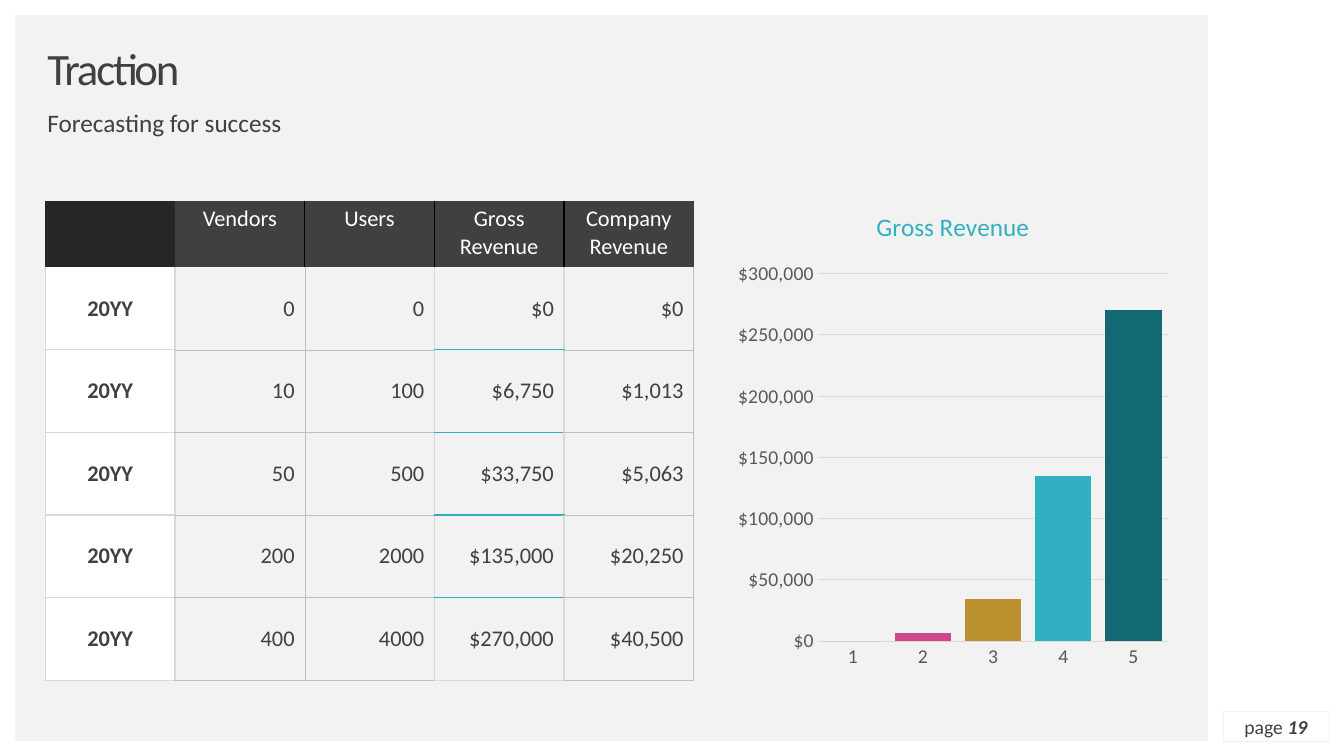
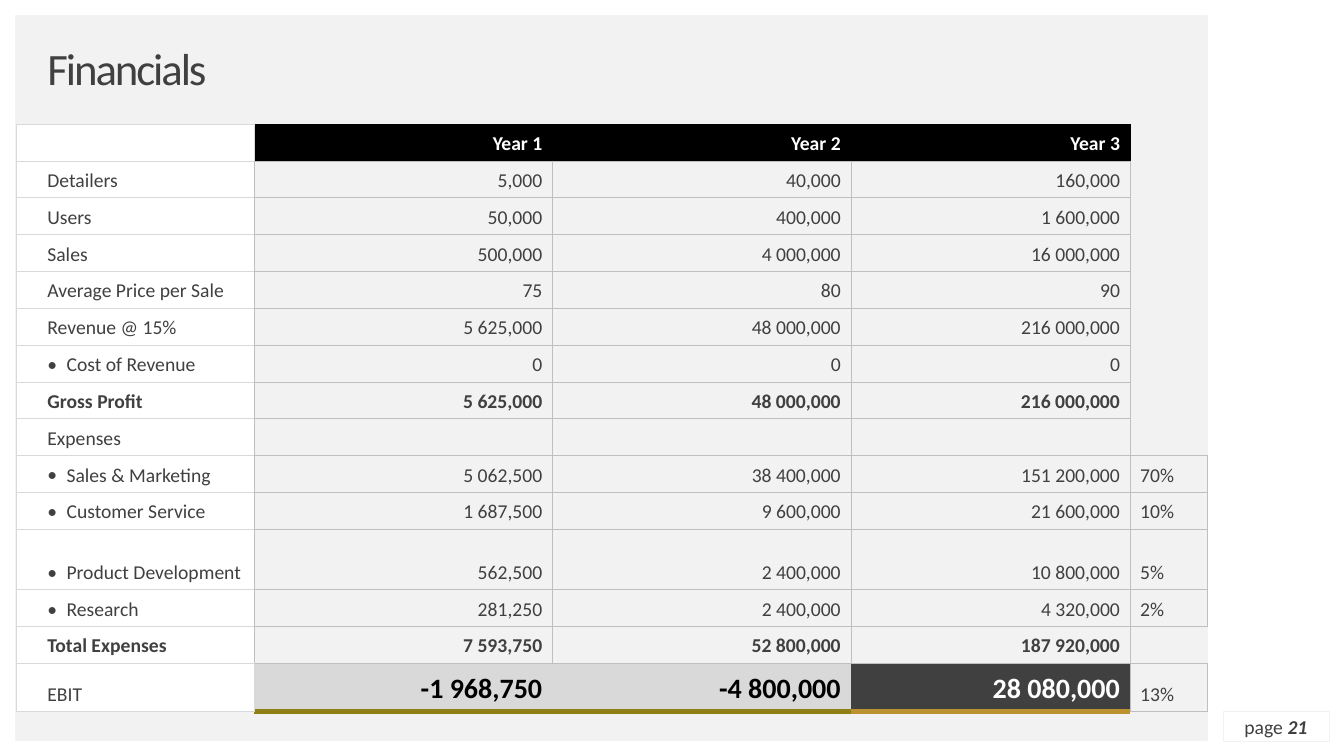
from lxml.etree import SubElement
from pptx import Presentation
from pptx.chart.data import CategoryChartData
from pptx.dml.color import RGBColor
from pptx.enum.chart import XL_CHART_TYPE, XL_TICK_MARK
from pptx.enum.shapes import MSO_SHAPE
from pptx.enum.text import MSO_ANCHOR, PP_ALIGN
from pptx.oxml import parse_xml
from pptx.oxml.ns import nsdecls, qn
from pptx.util import Inches, Pt

FONT = "Calibri"
COLORS = {
    "white": "FFFFFF", "black": "000000", "panel": "F2F2F2", "ink": "404040",
    "coal": "262626", "light": "D9D9D9", "mid": "BFBFBF",
    "axis": "595959", "teal": "31B0C1", "deep": "126974", "pink": "CB488B",
    "gold": "BC9230", "olive": "8E8016",
}
SIDES = {"left": "lnL", "right": "lnR", "top": "lnT", "bottom": "lnB"}
ALIGN = {"left": PP_ALIGN.LEFT, "center": PP_ALIGN.CENTER, "right": PP_ALIGN.RIGHT}

FORECAST_HEADS = ["", "Vendors", "Users", "Gross Revenue", "Company Revenue"]
FORECAST = [
    ["20YY", "0", "0", "$0", "$0"],
    ["20YY", "10", "100", "$6,750", "$1,013"],
    ["20YY", "50", "500", "$33,750", "$5,063"],
    ["20YY", "200", "2000", "$135,000", "$20,250"],
    ["20YY", "400", "4000", "$270,000", "$40,500"],
]
FINANCIALS = [
    ["", "Year 1", "Year 2", "Year 3", ""],
    ["Detailers", "5,000", "40,000", "160,000", ""],
    ["Users", "50,000", "400,000", "1 600,000", ""],
    ["Sales", "500,000", "4 000,000", "16 000,000", ""],
    ["Average Price per Sale", "75", "80", "90", ""],
    ["Revenue @ 15%", "5 625,000", "48 000,000", "216 000,000", ""],
    ["Cost of Revenue", "0", "0", "0", ""],
    ["Gross Profit", "5 625,000", "48 000,000", "216 000,000", ""],
    ["Expenses", "", "", "", ""],
    ["Sales & Marketing", "5 062,500", "38 400,000", "151 200,000", "70%"],
    ["Customer Service", "1 687,500", "9 600,000", "21 600,000", "10%"],
    ["Product Development", "562,500", "2 400,000", "10 800,000", "5%"],
    ["Research", "281,250", "2 400,000", "4 320,000", "2%"],
    ["Total Expenses", "7 593,750", "52 800,000", "187 920,000", ""],
    ["EBIT", "-1 968,750", "-4 800,000", "28 080,000", "13%"],
]
BULLETED = {"Cost of Revenue", "Sales & Marketing", "Customer Service",
            "Product Development", "Research"}
TOTALS = {"Gross Profit", "Total Expenses"}


def rgb(name):
    return RGBColor.from_string(COLORS[name])


def style_font(font, size, color, bold=False, italic=False):
    font.name = FONT
    font.size = Pt(size)
    font.bold = bold
    font.italic = italic
    font.color.rgb = rgb(color)


def add_span(para, text, size=14, color="ink", bold=False, italic=False, tracking=0):
    span = para.add_run()
    span.text = text
    style_font(span.font, size, color, bold, italic)
    if tracking:
        span.font._element.set("spc", str(int(tracking * 100)))


def prepare_frame(frame, anchor, align):
    frame.word_wrap = True
    frame.vertical_anchor = anchor
    frame.margin_left = frame.margin_right = frame.margin_top = frame.margin_bottom = 0
    para = frame.paragraphs[0]
    para.alignment = ALIGN[align]
    return para


def add_text(page, left, top, width, height, text, anchor=MSO_ANCHOR.TOP, **style):
    box = page.shapes.add_textbox(Inches(left), Inches(top), Inches(width), Inches(height))
    para = prepare_frame(box.text_frame, anchor, "left")
    para.line_spacing = 0.9
    add_span(para, text, **style)


def add_rectangle(page, left, top, width, height, fill=None, line=None):
    box = page.shapes.add_shape(MSO_SHAPE.RECTANGLE, Inches(left), Inches(top),
                                Inches(width), Inches(height))
    box.shadow.inherit = False
    for paint, color in ((box.fill, fill), (box.line.fill, line)):
        if color:
            paint.solid()
            paint.fore_color.rgb = rgb(color)
        else:
            paint.background()
    if line:
        box.line.width = Pt(0.25)
    return box


def start_page(deck, title, number):
    page = deck.slides.add_slide(deck.slide_layouts[6])
    for band in ((0, 0, 13.33, 0.15), (0, 0, 0.15, 7.5),
                 (11.98, 0, 1.35, 7.5), (0, 7.35, 13.33, 0.15)):
        add_rectangle(page, *band, fill="white")
    add_text(page, 0.47, 0.47, 11.09, 0.47, title, anchor=MSO_ANCHOR.MIDDLE,
             size=32, tracking=-1.5)
    footer = add_rectangle(page, 12.13, 7.06, 1.05, 0.29, line="panel")
    para = prepare_frame(footer.text_frame, MSO_ANCHOR.MIDDLE, "center")
    add_span(para, "page ")
    add_span(para, number, bold=True, italic=True)
    return page


def add_grid(page, left, top, widths, heights):
    frame = page.shapes.add_table(len(heights), len(widths), Inches(left), Inches(top),
                                  Inches(sum(widths)), Inches(sum(heights)))
    table = frame.table
    table.first_row = table.horz_banding = False
    for column, width in zip(table.columns, widths):
        column.width = Inches(width)
    for row, height in zip(table.rows, heights):
        row.height = Inches(height)
    return table


def set_borders(cell, edges):
    properties = cell._tc.get_or_add_tcPr()
    for index, (side, tag) in enumerate(SIDES.items()):
        color, width = edges.get(side) or (None, 0)
        paint = (f'<a:solidFill><a:srgbClr val="{COLORS[color]}"/></a:solidFill>'
                 if color else "<a:noFill/>")
        properties.insert(index, parse_xml(
            f'<a:{tag} {nsdecls("a")} w="{int(Pt(width))}">{paint}</a:{tag}>'))


def set_cell(cell, text, edges, fill=None, align="left", anchor=MSO_ANCHOR.MIDDLE,
             indent=None, bullet=False, **style):
    cell.vertical_anchor = anchor
    if indent:
        cell.margin_left = Inches(indent)
    if fill:
        cell.fill.solid()
        cell.fill.fore_color.rgb = rgb(fill)
    else:
        cell.fill.background()
    set_borders(cell, edges)
    para = cell.text_frame.paragraphs[0]
    para.alignment = ALIGN[align]
    if bullet:
        properties = para._p.get_or_add_pPr()
        properties.set("marL", str(Inches(0.19)))
        properties.set("indent", str(-Inches(0.19)))
        SubElement(properties, qn("a:buFont")).set("typeface", FONT)
        SubElement(properties, qn("a:buChar")).set("char", "•")
    if text:
        add_span(para, text, **style)
    else:
        SubElement(para._p, qn("a:endParaRPr")).set("sz", "1400")


def all_sides(color, width):
    return dict.fromkeys(SIDES, (color, width))


def forecast_edges(row, column):
    light, hair, accent = ("light", 1), ("mid", 0.25), ("teal", 1)
    if row == 0:
        black = ("black", 1)
        return {"left": black if column > 1 else None,
                "right": black if 0 < column < 4 else None}
    edges = all_sides(*hair)
    edges["left"] = hair if column == 2 else light
    if column in (2, 3):
        edges["right"] = light
    if column == 3:
        edges["top"] = accent
        edges["bottom"] = light if row == len(FORECAST) else accent
    if column == 0:
        edges = all_sides(*light)
    if row == 1:
        edges["top"] = None
    return edges


def add_forecast_table(page):
    table = add_grid(page, 0.45, 1.99, [6.43 / 5] * 5, [0.66] + [0.82] * 5)
    for row, texts in enumerate([FORECAST_HEADS] + FORECAST):
        for column, text in enumerate(texts):
            label = column == 0
            if row == 0:
                style = dict(fill="coal" if label else "ink", color="white",
                             align="center", anchor=MSO_ANCHOR.TOP)
            elif label:
                style = dict(fill="white", align="center", bold=True)
            else:
                style = dict(fill="panel" if column == 3 else None, align="right")
            set_cell(table.cell(row, column), text, forecast_edges(row, column),
                     size=16, **style)


def financial_edges(row, column):
    light, mid, black = (("light", 0.25), ("mid", 0.25), ("black", 0.25))
    last = len(FINANCIALS) - 1
    if column == 4:
        if FINANCIALS[row][4]:
            return all_sides(*mid)
        above = row > 0 and FINANCIALS[row - 1][4]
        below = row < last and FINANCIALS[row + 1][4]
        return {"left": mid if row else black, "top": mid if above else None,
                "bottom": mid if below else None}
    if column == 0:
        return {**all_sides(*light), "right": mid if 0 < row < last else light}
    if row == 0:
        return {**all_sides(*black), "left": light if column == 1 else black, "bottom": mid}
    if row == last:
        return {"top": mid, "bottom": ("gold" if column == 3 else "olive", 4.5),
                "left": light if column == 1 else None,
                "right": mid if column == 3 else None}
    return all_sides(*mid)


def add_financial_table(page):
    tall, final, total = 0.6, 0.48, 5.83
    heights = [(total - tall - final) / 13] * 15
    heights[11], heights[14] = tall, final
    table = add_grid(page, 0.16, 1.23, [2.36, 2.96, 2.96, 2.77, 0.76], heights)
    for row, texts in enumerate(FINANCIALS):
        label = texts[0]
        for column, text in enumerate(texts):
            style = dict(bold=label in TOTALS)
            if column == 0:
                style.update(fill="white", indent=0.31, bullet=label in BULLETED)
            elif column < 4:
                style.update(fill="panel", align="right")
                if row == 0:
                    style.update(fill="black", color="white", bold=True)
                elif label == "EBIT":
                    profit = column == 3
                    style.update(fill="ink" if profit else "light", size=20, bold=True,
                                 color="white" if profit else "black")
            set_cell(table.cell(row, column), text, financial_edges(row, column),
                     anchor=MSO_ANCHOR.BOTTOM, **style)


def set_layout(parent, index, inner=False, **places):
    for old in parent.findall(qn("c:layout")):
        parent.remove(old)
    layout = parse_xml(f'<c:layout {nsdecls("c")}><c:manualLayout/></c:layout>')
    parent.insert(index, layout)
    settings = {"layoutTarget": "inner"} if inner else {}
    settings.update(xMode="edge", yMode="edge", **places)
    for tag, value in settings.items():
        SubElement(layout[0], qn(f"c:{tag}")).set("val", str(value))


def add_revenue_chart(page):
    data = CategoryChartData(number_format="[$$-409]#,##0")
    data.categories = ["1", "2", "3", "4", "5"]
    data.add_series("Series 1", [0, 7000, 34000, 135000, 270000])
    chart = page.shapes.add_chart(XL_CHART_TYPE.COLUMN_CLUSTERED, Inches(7.22), Inches(1.89),
                                  Inches(4.46), Inches(4.86), data).chart
    style_font(chart.font, 10, "black")
    chart.has_legend = False
    chart.has_title = True
    add_span(chart.chart_title.text_frame.paragraphs[0], "Gross Revenue", size=18, color="teal")
    set_layout(chart.chart_title._element, 1, x=0.32, y=0.03)
    set_layout(chart._chartSpace.chart.plotArea, 0, inner=True, x=0.2, y=0.17, w=0.78, h=0.75)

    for axis in (chart.category_axis, chart.value_axis):
        axis.major_tick_mark = axis.minor_tick_mark = XL_TICK_MARK.NONE
        style_font(axis.tick_labels.font, 14, "axis")
    values = chart.value_axis
    values.minimum_scale, values.maximum_scale, values.major_unit = 0, 300000, 50000
    values.tick_labels.number_format = "[$$-409]#,##0"
    values.tick_labels.number_format_is_linked = False
    values.format.line.fill.background()
    for line in (chart.category_axis.format.line, values.major_gridlines.format.line):
        line.color.rgb = rgb("light")
        line.width = Pt(0.75)

    plot = chart.plots[0]
    plot.gap_width = 25
    plot.vary_by_categories = False
    series = plot.series[0]
    series.invert_if_negative = False
    bars = [series.format] + [series.points[index].format for index in (1, 3, 4)]
    for bar, color in zip(bars, ("gold", "pink", "teal", "deep")):
        bar.fill.solid()
        bar.fill.fore_color.rgb = rgb(color)


def main():
    deck = Presentation()
    deck.slide_width, deck.slide_height = Inches(13.33), Inches(7.5)
    background = deck.slide_master.background.fill
    background.solid()
    background.fore_color.rgb = rgb("panel")

    traction = start_page(deck, "Traction", "19")
    add_text(traction, 0.47, 1.1, 11.09, 0.28, "Forecasting for success", size=18)
    add_forecast_table(traction)
    add_revenue_chart(traction)

    financials = start_page(deck, "Financials", "21")
    add_financial_table(financials)
    deck.save("out.pptx")


if __name__ == "__main__":
    main()
